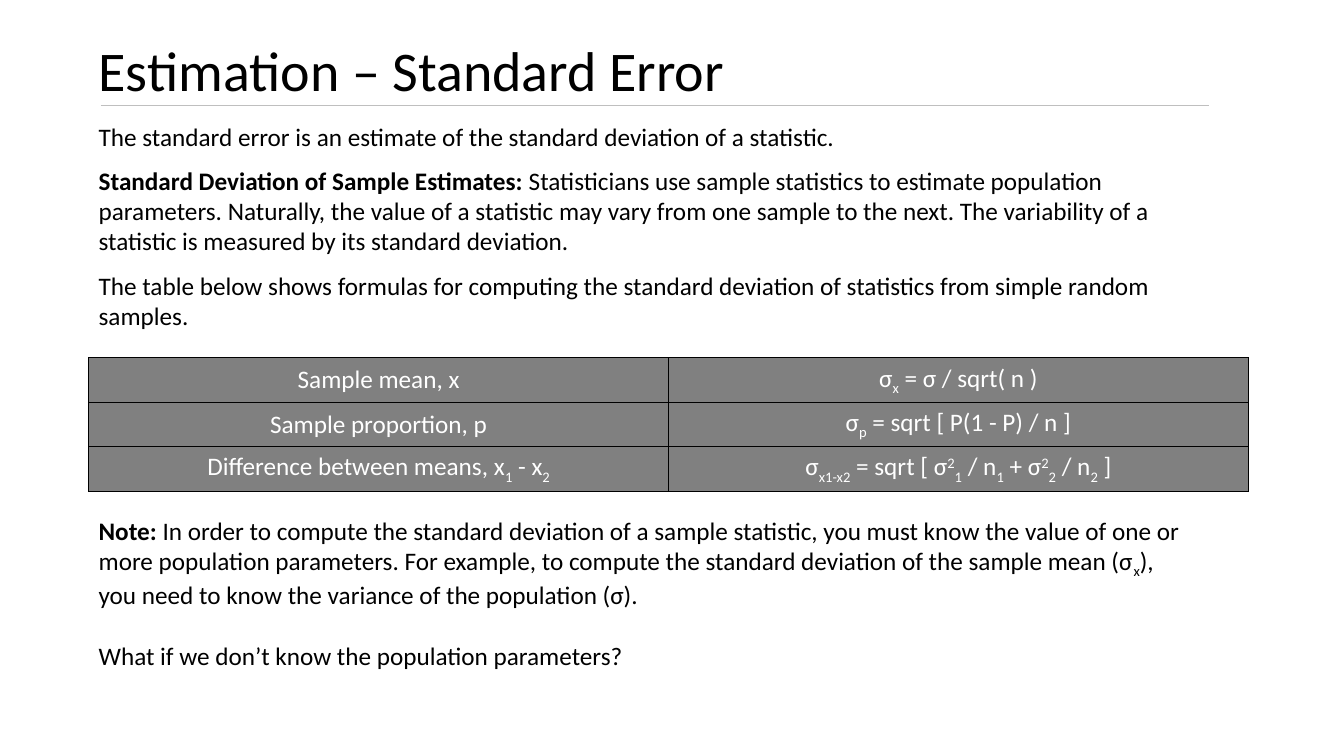
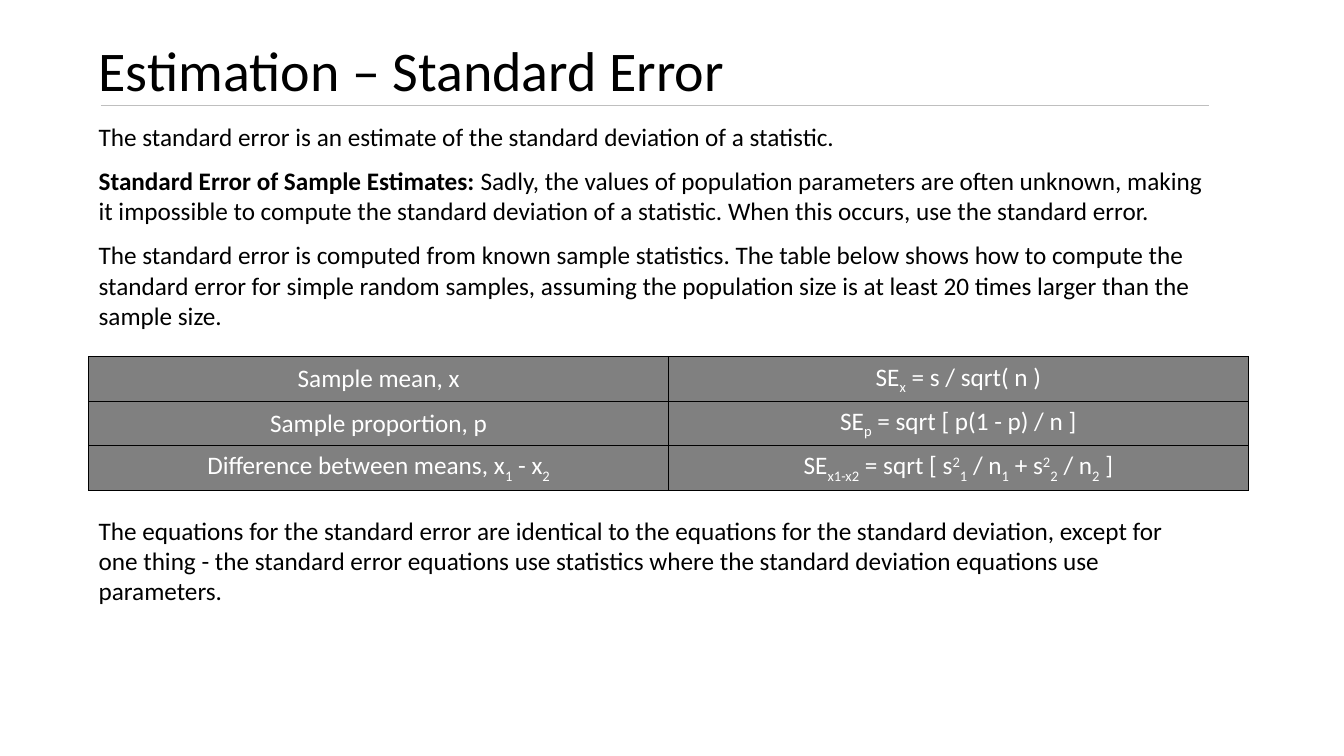
from lxml import etree
from pptx import Presentation
from pptx.dml.color import RGBColor
from pptx.enum.shapes import MSO_CONNECTOR
from pptx.enum.text import MSO_ANCHOR, PP_ALIGN
from pptx.oxml.ns import qn
from pptx.util import Inches, Pt

# Shared style
FONT = "Calibri"
BLACK, WHITE, GREY, RULE = "000000", "FFFFFF", "808080", "BFBFBF"
LEFT = 0.88
BODY_SIZE, TITLE_SIZE = 18, 40
COL_W, ROW_H = 5.75, 0.44
BOLD, SUB, SUP = "bold", "sub", "sup"
BASELINE = {SUB: "-25000", SUP: "30000"}

# Content: a paragraph is a list of runs, either plain text or (text, style)
TITLE = "Estimation – Standard Error"
INTRO = ["The standard error is an estimate of the standard deviation of a statistic."]
LABELS = [
    ["Sample mean, x"],
    ["Sample proportion, p"],
    ["Difference between means, x", ("1", SUB), " - x", ("2", SUB)],
]


def formulas(stat, sd, prop):
    return [
        [stat, ("x", SUB), f" = {sd} / sqrt( n )"],
        [stat, ("p", SUB), f" = sqrt [ {prop}(1 - {prop}) / n ]"],
        [stat, ("x1-x2", SUB), f" = sqrt [ {sd}", ("2", SUP), ("1", SUB),
         " / n", ("1", SUB), f" + {sd}", ("2", SUP), ("2", SUB),
         " / n", ("2", SUB), " ]"],
    ]


SLIDES = [
    {
        "body": [
            INTRO,
            [("Standard Deviation of Sample Estimates: ", BOLD),
             "Statisticians use sample statistics to estimate population parameters. "
             "Naturally, the value of a statistic may vary from one sample to the next. "
             "The variability of a statistic is measured by its standard deviation."],
            ["The table below shows formulas for computing the standard deviation of "
             "statistics from simple random samples."],
        ],
        "formulas": formulas("σ", "σ", "P"),
        "table_top": 3.55,
        "note": [
            [("Note:", BOLD),
             " In order to compute the standard deviation of a sample statistic, you must "
             "know the value of one or more population parameters. For example, to compute "
             "the standard deviation of the sample mean (σ", ("x", SUB),
             "), you need to know the variance of the population (σ)."],
            ["What if we don’t know the population parameters?"],
        ],
        "note_h": 1.62,
    },
    {
        "body": [
            INTRO,
            [("Standard Error of Sample Estimates: ", BOLD),
             "Sadly, the values of population parameters are often unknown, making it "
             "impossible to compute the standard deviation of a statistic. When this "
             "occurs, use the standard error."],
            ["The standard error is computed from known sample statistics. The table below "
             "shows how to compute the standard error for simple random samples, assuming "
             "the population size is at least 20 times larger than the sample size."],
        ],
        "formulas": formulas("SE", "s", "p"),
        "table_top": 3.54,
        "note": [
            ["The equations for the standard error are identical to the equations for the "
             "standard deviation, except for one thing - the standard error equations use "
             "statistics where the standard deviation equations use parameters."],
        ],
        "note_h": 1.01,
    },
]


def rgb(value):
    return RGBColor.from_string(value)


def add_runs(p, runs, color=BLACK, size=BODY_SIZE):
    for run in runs:
        text, style = (run, None) if isinstance(run, str) else run
        r = p.add_run()
        r.text = text
        font = {"name": FONT, "size": Pt(size), "bold": style == BOLD}
        for key, value in font.items():
            setattr(r.font, key, value)
        r.font.color.rgb = rgb(color)
        if style in BASELINE:
            r._r.get_or_add_rPr().set("baseline", BASELINE[style])


def add_text(s, box, paragraphs, size=BODY_SIZE, anchor=MSO_ANCHOR.TOP, **spacing):
    tf = s.shapes.add_textbox(*map(Inches, box)).text_frame
    tf.word_wrap = True
    tf.vertical_anchor = anchor
    for i, runs in enumerate(paragraphs):
        p = tf.add_paragraph() if i else tf.paragraphs[0]
        for key, value in spacing.items():
            setattr(p, key, value)
        add_runs(p, runs, size=size)


def add_header(s):
    add_text(s, (LEFT, 0.3, 10.71, 0.78), [[TITLE]], TITLE_SIZE,
             MSO_ANCHOR.BOTTOM, line_spacing=0.9)
    rule = s.shapes.add_connector(
        MSO_CONNECTOR.STRAIGHT, Inches(1), Inches(1.05), Inches(11.99), Inches(1.05))
    rule.line.color.rgb = rgb(RULE)
    rule.line.width = Pt(0.5)
    etree.SubElement(rule._element.spPr, qn("a:effectLst"))


def format_cell(cell):
    # Borders come before the fill in the cell properties
    tcPr = cell._tc.get_or_add_tcPr()
    for side in ("lnL", "lnR", "lnT", "lnB"):
        ln = etree.SubElement(tcPr, qn(f"a:{side}"), w=str(Pt(1)))
        fill = etree.SubElement(ln, qn("a:solidFill"))
        etree.SubElement(fill, qn("a:srgbClr"), val=BLACK)
    cell.fill.solid()
    cell.fill.fore_color.rgb = rgb(GREY)
    cell.vertical_anchor = MSO_ANCHOR.MIDDLE


def add_formula_table(s, top, rows):
    box = (LEFT, top, 2 * COL_W, ROW_H * len(rows))
    table = s.shapes.add_table(len(rows), 2, *map(Inches, box)).table
    table.first_row = table.horz_banding = False
    for i, row in enumerate(rows):
        for j, runs in enumerate(row):
            cell = table.cell(i, j)
            format_cell(cell)
            p = cell.text_frame.paragraphs[0]
            p.alignment = PP_ALIGN.CENTER
            add_runs(p, runs, WHITE)


def main():
    prs = Presentation()
    prs.slide_width, prs.slide_height = Inches(13.33), Inches(7.5)
    for content in SLIDES:
        s = prs.slides.add_slide(prs.slide_layouts[6])
        add_header(s)
        add_text(s, (LEFT, 1.15, 11.21, 2.2), content["body"], space_after=Pt(10))
        add_formula_table(s, content["table_top"], list(zip(LABELS, content["formulas"])))
        add_text(s, (LEFT, 5.06, 11.08, content["note_h"]), content["note"],
                 space_after=Pt(22))
    prs.save("out.pptx")


if __name__ == "__main__":
    main()
